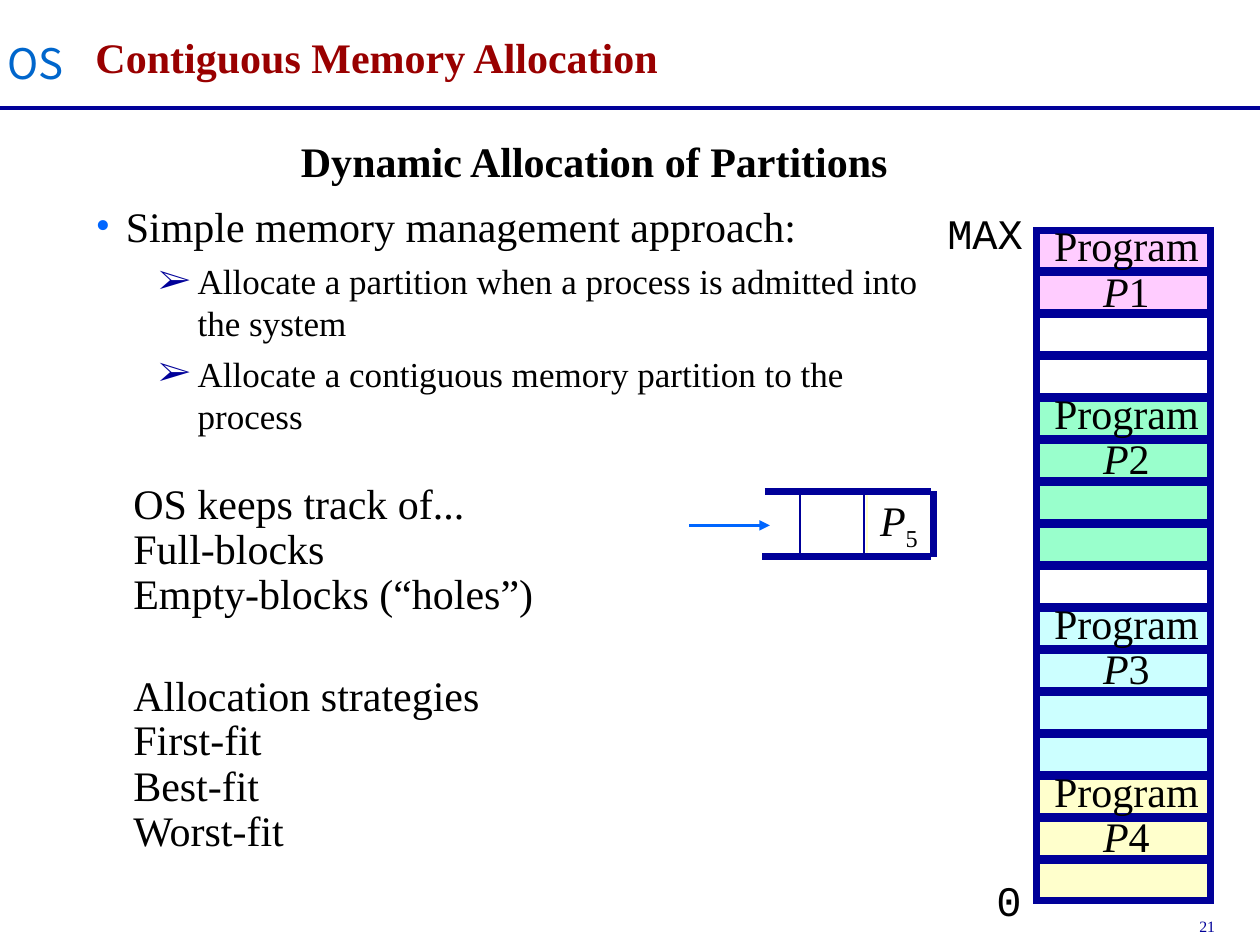
import pptx
import pptx.dml.color
import pptx.enum.shapes
import pptx.enum.text
import pptx.util
from lxml import etree
from pptx.oxml.ns import qn
from pptx.util import Inches

COLORS = {
    "navy": "000099", "blue": "0066FF", "logo": "0066CC", "title": "990000",
    "black": "000000", "white": "FFFFFF", "pink": "FFCCFF",
    "green": "99FFCC", "cyan": "CCFFFF", "yellow": "FFFFCC",
}
SERIF, MONO, SANS = "Times New Roman", "Courier New", "Noto Sans CJK SC"
ALIGN = pptx.enum.text.PP_ALIGN


def rgb(name):
    return pptx.dml.color.RGBColor.from_string(COLORS[name])


def style(font, size=24, color="black", face=SERIF, bold=False):
    font.size = pptx.util.Pt(size)
    font.name = face
    font.color.rgb = rgb(color)
    font.bold = bold


def add_text(slide, box, lines, wrap=True, grow=False, align=None, **look):
    """Put one paragraph per line into a text box and return its frame."""
    frame = slide.shapes.add_textbox(*map(Inches, box)).text_frame
    frame.word_wrap = wrap
    if grow:
        frame.auto_size = pptx.enum.text.MSO_AUTO_SIZE.SHAPE_TO_FIT_TEXT
    frame.text = "\n".join(lines)
    for paragraph in frame.paragraphs:
        paragraph.alignment = align
        for run in paragraph.runs:
            style(run.font, **look)
    return frame


def add_rect(slide, box, fill=None, line=None, width=1):
    rect = slide.shapes.add_shape(
        pptx.enum.shapes.MSO_SHAPE.RECTANGLE, *map(Inches, box))
    rect.shadow.inherit = False
    if fill:
        rect.fill.solid()
        rect.fill.fore_color.rgb = rgb(fill)
    else:
        rect.fill.background()
    if line:
        rect.line.color.rgb = rgb(line)
        rect.line.width = pptx.util.Pt(width)
        etree.SubElement(rect.line._get_or_add_ln(), qn("a:miter"), lim="800000")
    else:
        rect.line.fill.background()
    return rect


def add_line(slide, start, end, color="navy", width=4, arrow=False):
    connector = slide.shapes.add_connector(
        pptx.enum.shapes.MSO_CONNECTOR.STRAIGHT, *map(Inches, start + end))
    connector.line.color.rgb = rgb(color)
    connector.line.width = pptx.util.Pt(width)
    if arrow:
        etree.SubElement(connector.line._get_or_add_ln(), qn("a:tailEnd"), type="triangle")
    etree.SubElement(connector._element.spPr, qn("a:effectLst"))


def add_bullet(paragraph, char, color, margin, hanging):
    properties = paragraph._p.get_or_add_pPr()
    properties.set("marL", str(Inches(margin)))
    properties.set("indent", str(-Inches(hanging)))
    bullet_color = etree.SubElement(properties, qn("a:buClr"))
    etree.SubElement(bullet_color, qn("a:srgbClr"), val=COLORS[color])
    etree.SubElement(properties, qn("a:buFont"), typeface=SERIF)
    etree.SubElement(properties, qn("a:buChar"), char=char)


def header(slide, left, top, width):
    rule = top + 0.86
    add_line(slide, (left, rule), (left + width, rule), width=2.25)
    course = add_text(slide, (left + 0.03, top + 0.25, 0.5, 0.5), ["OS"],
                      wrap=False, align=ALIGN.CENTER, color="logo", face=SANS)
    course.margin_left = course.margin_right = 0
    title = add_text(slide, (left + 0.66, top + 0.04, 8.7, 0.66),
                     ["Contiguous Memory Allocation"], color="title", bold=True)
    title.vertical_anchor = pptx.enum.text.MSO_ANCHOR.BOTTOM
    add_text(slide, (left + 2.29, top + 1.03, 4.87, 0.5),
             ["Dynamic Allocation of Partitions"], wrap=False, grow=True, bold=True)


def approach(slide, box):
    frame = add_text(slide, box, [
        "Simple memory management approach:",
        "Allocate a partition when a process is admitted into the system",
        "Allocate a contiguous memory partition to the process",
    ])
    heading, *steps = frame.paragraphs
    add_bullet(heading, "•", "blue", 0.24, 0.24)
    for step in steps:
        step.level = 1
        step.space_before = pptx.util.Pt(5)
        add_bullet(step, "➢", "navy", 0.81, 0.31)
        style(step.runs[0].font, size=20)


def bookkeeping(slide, box):
    groups = [
        ["OS keeps track of...", "Full-blocks", "Empty-blocks (“holes”)"],
        ["Allocation strategies", "First-fit", "Best-fit", "Worst-fit"],
    ]
    frame = add_text(slide, box, sum(groups, []))
    headings = [group[0] for group in groups]
    for paragraph in frame.paragraphs:
        if paragraph.text not in headings:
            paragraph.line_spacing = 0.9
        elif paragraph.text != headings[0]:
            paragraph.space_before = pptx.util.Pt(29)


def process_queue(slide, left, top):
    """Draw the waiting queue with its arrow; left is the arrow's start."""
    right, bottom, middle = left + 1.92, top + 0.52, top + 0.27
    head = add_rect(slide, (left + 1.41, top + 0.01, 0.51, 0.49), line="yellow")
    frame = head.text_frame
    frame.word_wrap = False
    frame.vertical_anchor = pptx.enum.text.MSO_ANCHOR.MIDDLE
    paragraph = frame.paragraphs[0]
    paragraph.alignment = ALIGN.CENTER
    for part in "P5":
        run = paragraph.add_run()
        run.text = part
        style(run.font)
    letter, index = paragraph.runs
    letter.font.italic = True
    index.font._element.set("baseline", "-25000")
    add_rect(slide, (left + 0.88, top, 0.51, 0.52), line="navy")
    add_line(slide, (left + 0.58, bottom), (right, bottom))
    add_line(slide, (right + 0.02, bottom), (right + 0.02, top))
    add_line(slide, (left + 0.6, top), (right, top))
    add_line(slide, (left, middle), (left + 0.64, middle), "blue", 2, arrow=True)


def memory_map(slide, left, top, width, height):
    rows = 16
    pitch = height / rows
    programs = [(0, 2, "pink"), (4, 4, "green"), (9, 4, "cyan"), (13, 3, "yellow")]
    add_rect(slide, (left, top, width, height), fill="white", line="navy")
    for first, count, color in programs:
        add_rect(slide, (left, top + first * pitch, width, count * pitch - 0.02), fill=color)
    for row in range(rows):
        add_rect(slide, (left, top + row * pitch, width, 0.32), line="navy", width=4)
    for text, x, y, w in [("0", -0.42, height - 0.27, 0.4), ("MAX", -0.81, -0.23, 0.8)]:
        add_text(slide, (left + x, top + y, w, 0.5), [text],
                 wrap=False, grow=True, face=MONO)
    for number, (first, _, _) in enumerate(programs, 1):
        frame = add_text(slide, (left - 0.09, top + first * pitch - 0.09, 1.6, 0.82),
                         ["Program", "P"], grow=True, align=ALIGN.CENTER)
        for paragraph in frame.paragraphs:
            paragraph.line_spacing = 0.9
        label = frame.paragraphs[1]
        label.runs[0].font.italic = True
        digit = label.add_run()
        digit.text = str(number)
        style(digit.font)


def main():
    deck = pptx.Presentation()
    deck.slide_width, deck.slide_height = Inches(10), Inches(7.5)
    slide = deck.slides.add_slide(deck.slide_layouts[6])
    add_text(slide, (9.42, 7.23, 0.72, 0.25), ["21"],
             wrap=False, grow=True, size=9, color="navy")
    header(slide, 0, 0, 10)
    approach(slide, (0.66, 1.54, 6.75, 3))
    process_queue(slide, 5.47, 3.9)
    memory_map(slide, 8.23, 1.83, 1.38, 5.33)
    bookkeeping(slide, (0.96, 3.74, 6.17, 3.17))
    deck.save("out.pptx")


if __name__ == "__main__":
    main()
